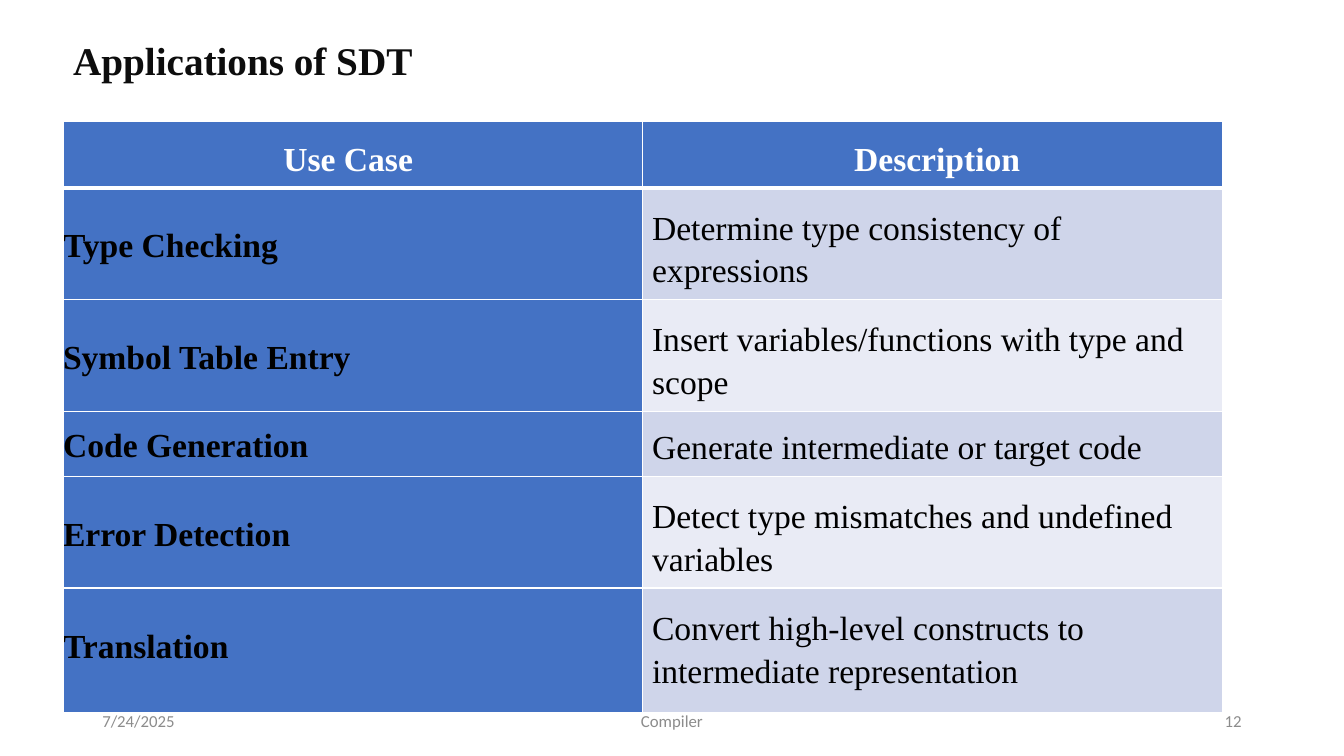
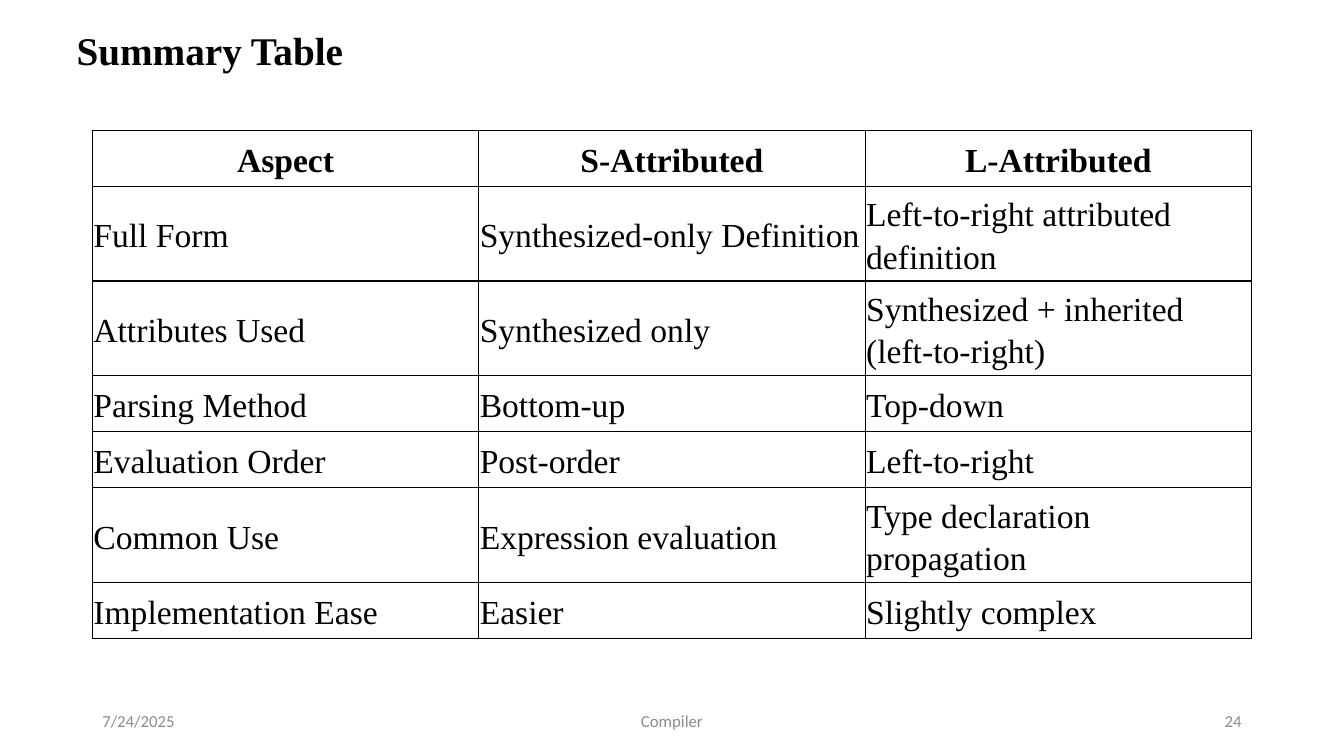
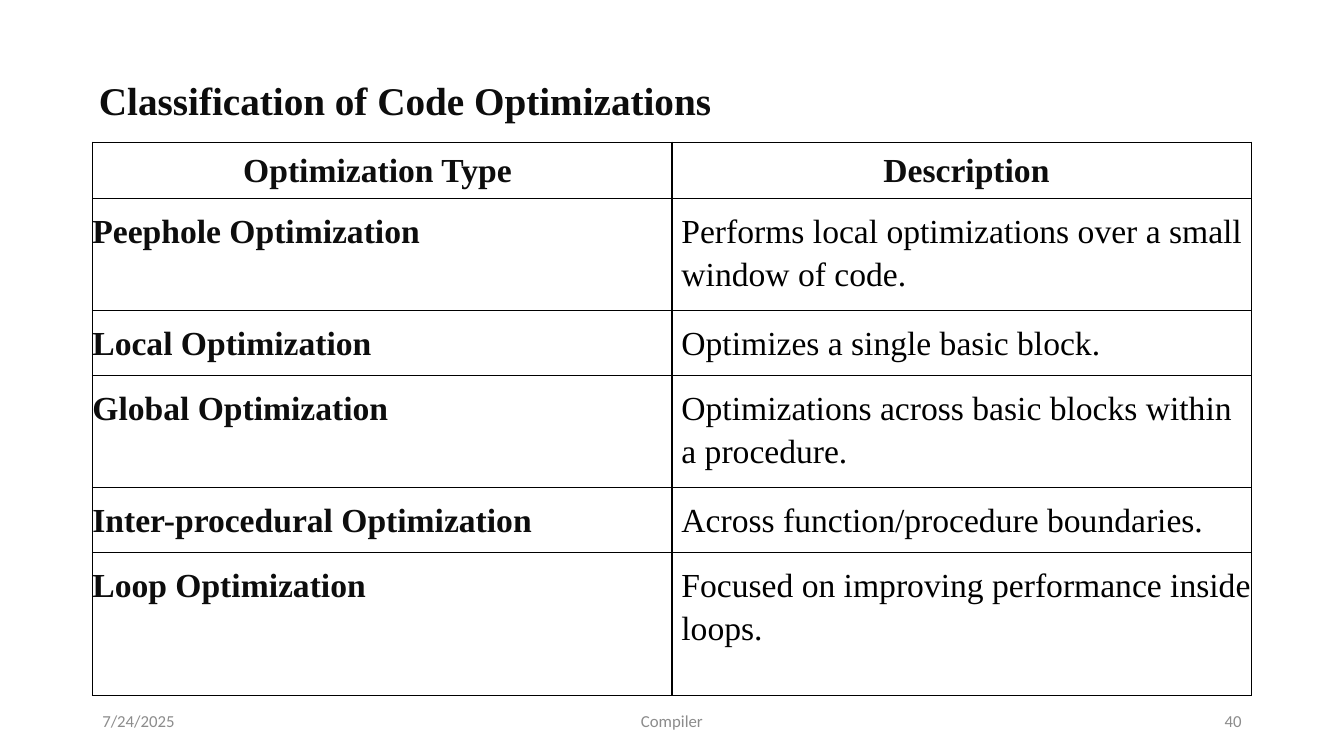
import lxml.etree
import pptx
import pptx.dml.color
import pptx.enum.text
import pptx.oxml.ns
import pptx.util

Pt = pptx.util.Pt
RGBColor = pptx.dml.color.RGBColor
ALIGN = pptx.enum.text.PP_ALIGN
ANCHOR = pptx.enum.text.MSO_ANCHOR
AUTO_SIZE = pptx.enum.text.MSO_AUTO_SIZE

# Colours
BLACK = RGBColor(0x00, 0x00, 0x00)
INK = RGBColor(0x0D, 0x0D, 0x0D)
WHITE = RGBColor(0xFF, 0xFF, 0xFF)
GREY = RGBColor(0x8C, 0x8C, 0x8C)
BLUE = RGBColor(0x44, 0x72, 0xC4)
BANDS = (RGBColor(0xCF, 0xD5, 0xEA), RGBColor(0xE9, 0xEB, 0xF5))

SERIF = "Times New Roman"
SANS = "Calibri"
TITLE_ONLY = 5
CELL_PAD = 6.75
LAST_ROW_PAD = 16


def write(frame, text, *, size, color, font=SERIF, bold=False, align=ALIGN.LEFT,
          spacing=None, after=None):
    """Put one formatted paragraph into a text frame."""
    paragraph = frame.paragraphs[0]
    paragraph.alignment = align
    if spacing is not None:
        paragraph.line_spacing = spacing
    if after is not None:
        paragraph.space_after = Pt(after)
    run = paragraph.add_run()
    run.text = text
    run.font.name = font
    run.font.size = Pt(size)
    run.font.bold = bold
    run.font.color.rgb = color


def draw_borders(cell, color, widths):
    """Give a cell its left, right, top and bottom lines."""
    properties = cell._tc.get_or_add_tcPr()
    for index, (side, width) in enumerate(zip("LRTB", widths)):
        line = lxml.etree.Element(pptx.oxml.ns.qn(f"a:ln{side}"), w=str(Pt(width)))
        fill = lxml.etree.SubElement(line, pptx.oxml.ns.qn("a:solidFill"))
        lxml.etree.SubElement(fill, pptx.oxml.ns.qn("a:srgbClr"), val=str(color))
        properties.insert(index, line)


def use_case_style(row, column):
    """Blue header and first column, banded descriptions."""
    return {
        "color": BLACK if row else WHITE,
        "bold": row == 0 or column == 0,
        "fill": BANDS[(row - 1) % 2] if row and column else BLUE,
        "anchor": ANCHOR.MIDDLE if row and column == 0 else ANCHOR.BOTTOM,
    }


def summary_style(row, column):
    """Plain grid with a bold header."""
    return {"color": BLACK, "bold": row == 0, "anchor": ANCHOR.MIDDLE}


def optimization_style(row, column):
    """Plain grid with a bold header and bold first column."""
    return {
        "color": BLACK if row and column else INK,
        "bold": row == 0 or column == 0,
        "anchor": ANCHOR.TOP if row else ANCHOR.BOTTOM,
    }


class Deck:
    """Shared style and the slide being built."""

    def __init__(self):
        self.file = pptx.Presentation()
        self.file.slide_width, self.file.slide_height = Pt(960), Pt(540)
        self.slide = None

    def add_slide(self, title, left, top, color):
        self.slide = self.file.slides.add_slide(self.file.slide_layouts[TITLE_ONLY])
        heading = self.slide.shapes.title
        heading.left, heading.top = Pt(left), Pt(top)
        heading.width, heading.height = Pt(480), Pt(41.2)
        frame = heading.text_frame
        frame.word_wrap = True
        frame.auto_size = AUTO_SIZE.SHAPE_TO_FIT_TEXT
        frame.vertical_anchor = ANCHOR.TOP
        write(frame, title, size=28, color=color, bold=True)

    def footer(self, number):
        """Add date, subject and slide number in front of the table."""
        for text, left, width, align in (
            ("7/24/2025", 66, 216, ALIGN.LEFT),
            ("Compiler", 318, 324, ALIGN.CENTER),
            (str(number), 678, 216, ALIGN.RIGHT),
        ):
            label = self.slide.shapes.add_textbox(Pt(left), Pt(500.5), Pt(width), Pt(28.75))
            label.text_frame.word_wrap = True
            label.text_frame.vertical_anchor = ANCHOR.MIDDLE
            write(label.text_frame, text, size=12, color=GREY, font=SANS, align=align)

    def table(self, rows, left, top, heights, style, *, line=BLACK, header_line=1,
              margin=None):
        """Draw a table; a margin replaces the open outer edges of two columns."""
        columns = len(rows[0])
        grid = self.slide.shapes.add_table(
            len(rows), columns, Pt(left), Pt(top), Pt(828), Pt(sum(heights))).table
        grid.first_row = grid.horz_banding = False
        for row, (texts, height) in enumerate(zip(rows, heights)):
            grid.rows[row].height = Pt(height)
            for column, text in enumerate(texts):
                look = style(row, column)
                cell = grid.cell(row, column)
                if margin is None:
                    sides = (CELL_PAD if column else 0, 0 if column else CELL_PAD,
                             CELL_PAD if row else 0,
                             LAST_ROW_PAD if row == len(rows) - 1 else CELL_PAD)
                else:
                    sides = (margin,) * 4
                (cell.margin_left, cell.margin_right,
                 cell.margin_top, cell.margin_bottom) = map(Pt, sides)
                cell.vertical_anchor = look["anchor"]
                if "fill" in look:
                    cell.fill.solid()
                    cell.fill.fore_color.rgb = look["fill"]
                else:
                    cell.fill.background()
                draw_borders(cell, line, (1, 1, header_line if row == 1 else 1,
                                          header_line if row == 0 else 1))
                tight = row == 0 and margin is None
                write(cell.text_frame, text, size=24, color=look["color"],
                      bold=look["bold"], after=8,
                      align=ALIGN.LEFT if row else ALIGN.CENTER,
                      spacing=Pt(12) if tight else 1.15)


def main():
    deck = Deck()

    # Applications
    deck.add_slide("Applications of SDT", 45, 22.5, INK)
    deck.table([
        ("Use Case", "Description"),
        ("Type Checking", "Determine type consistency of expressions"),
        ("Symbol Table Entry", "Insert variables/functions with type and scope"),
        ("Code Generation", "Generate intermediate or target code"),
        ("Error Detection", "Detect type mismatches and undefined variables"),
        ("Translation", "Convert high-level constructs to intermediate representation"),
    ], 45, 87, (47.2, 78.8, 78.8, 45.5, 78.8, 88), use_case_style,
        line=WHITE, header_line=3)
    deck.footer(12)

    # Summary
    deck.add_slide("Summary Table", 47.5, 15, BLACK)
    deck.table([
        ("Aspect", "S-Attributed", "L-Attributed"),
        ("Full Form", "Synthesized-only Definition", "Left-to-right attributed definition"),
        ("Attributes Used", "Synthesized only", "Synthesized + inherited (left-to-right)"),
        ("Parsing Method", "Bottom-up", "Top-down"),
        ("Evaluation Order", "Post-order", "Left-to-right"),
        ("Common Use", "Expression evaluation", "Type declaration propagation"),
        ("Implementation Ease", "Easier", "Slightly complex"),
    ], 66, 93, (40,) * 7, summary_style, margin=0.75)
    deck.footer(24)

    # Classification
    deck.add_slide("Classification of Code Optimizations", 63.5, 51, INK)
    deck.table([
        ("Optimization Type", "Description"),
        ("Peephole Optimization", "Performs local optimizations over a small window of code."),
        ("Local Optimization", "Optimizes a single basic block."),
        ("Global Optimization", "Optimizations across basic blocks within a procedure."),
        ("Inter-procedural Optimization", "Across function/procedure boundaries."),
        ("Loop Optimization", "Focused on improving performance inside loops."),
    ], 66, 101.5, (40.5, 71.5, 41, 71.5, 41, 102), optimization_style)
    deck.footer(40)

    deck.file.save("out.pptx")


if __name__ == "__main__":
    main()
